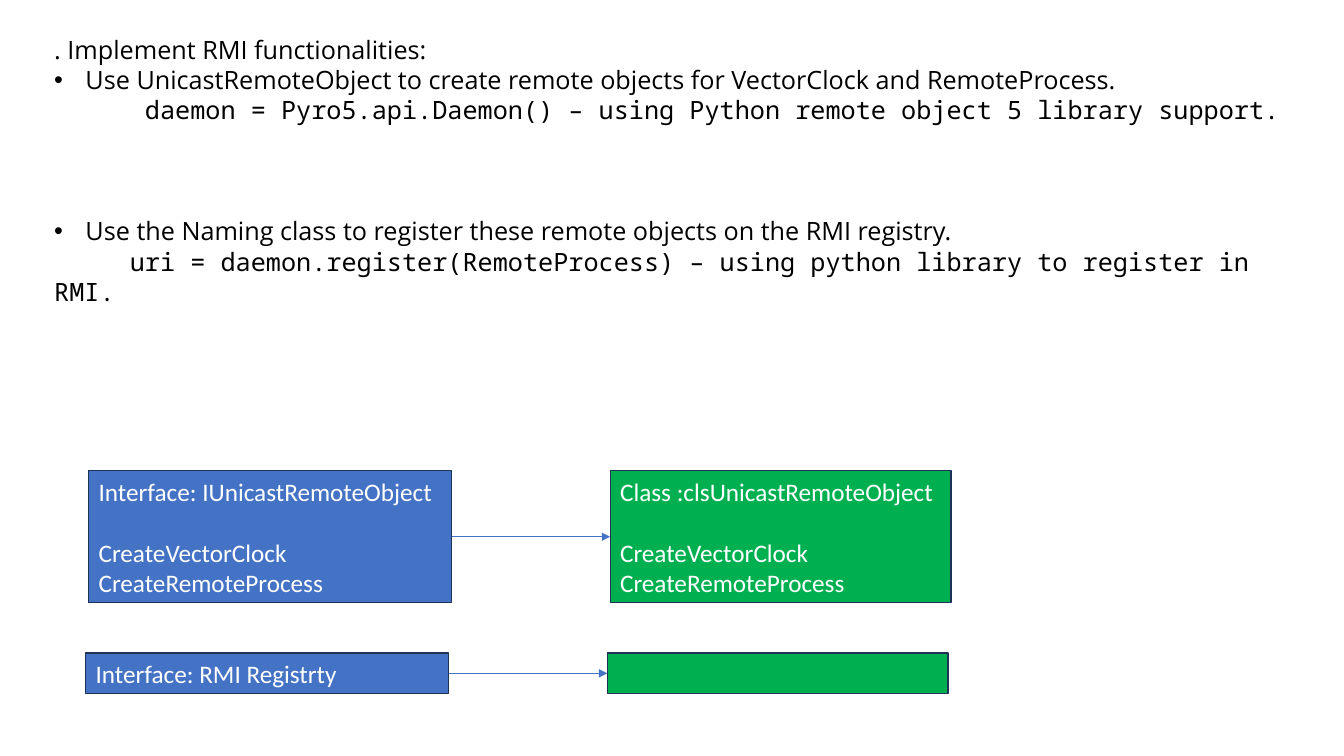
"""Build the slide on remote objects and the RMI registry."""
import pptx
import pptx.util
import pptx.dml.color
import pptx.enum.shapes
import pptx.enum.text
import pptx.oxml
import pptx.oxml.ns

HUES = {"ink": "000000", "paper": "FFFFFF", "blue": "4472C4", "green": "00B050", "edge": "1E3256"}
WIDE, HIGH = 13.33, 7.5
COL = pptx.util.Inches(WIDE / 100)
ROW = pptx.util.Inches(HIGH / 100)
LINE = 21.6


def hue(name):
    return pptx.dml.color.RGBColor.from_string(HUES[name])


def write(frame, text, font="Calibri", color="paper", first=False, gap=0, pitch=None, indent=0, bullet=False):
    para = frame.paragraphs[0] if first else frame.add_paragraph()
    para.alignment = pptx.enum.text.PP_ALIGN.LEFT
    para.space_before = pptx.util.Pt(gap)
    if pitch:
        para.line_spacing = pptx.util.Pt(pitch)
    run = para.add_run()
    run.text = text
    run.font.name = font
    run.font.size = pptx.util.Pt(18)
    run.font.color.rgb = hue(color)
    props = para._p.get_or_add_pPr()
    props.set("marL", str(pptx.util.Inches(0.31) if bullet else 0))
    props.set("indent", str(pptx.util.Inches(-0.31 if bullet else indent)))
    if bullet:
        face = pptx.oxml.ns.qn("a:buFont")
        props.append(props.makeelement(face, {"typeface": "Arial"}))
        props.append(props.makeelement(pptx.oxml.ns.qn("a:buChar"), {"char": "•"}))


deck = pptx.Presentation()
deck.slide_width = pptx.util.Inches(WIDE)
deck.slide_height = pptx.util.Inches(HIGH)
slide = deck.slides.add_slide(deck.slide_layouts[6])
shapes = slide.shapes

SANS, MONO = "Open Sans", "Noto Sans Mono"
steps = [
    (". Implement RMI functionalities:", SANS, {}),
    ("Use UnicastRemoteObject to create remote objects for VectorClock and RemoteProcess.", SANS, {"bullet": True}),
    ("daemon = Pyro5.api.Daemon() – using Python remote object 5 library support.", MONO, {"indent": 0.9}),
    ("Use the Naming class to register these remote objects on the RMI registry.", SANS,
     {"bullet": True, "gap": 3 * LINE}),
    ("uri = daemon.register(RemoteProcess) – using python library to register in RMI.", MONO, {"indent": 0.75}),
]
notes = shapes.add_textbox(int(3.3 * COL), int(3.87 * ROW), int(94.82 * COL), int(37.73 * ROW)).text_frame
notes.word_wrap = True
for spot, (text, font, form) in enumerate(steps):
    write(notes, text, font=font, color="ink", first=spot == 0, pitch=LINE, **form)

calls = ["CreateVectorClock", "CreateRemoteProcess"]
pairs = [
    (6.6, 62.27, 17.47, ["Interface: IUnicastRemoteObject"] + calls, ["Class :clsUnicastRemoteObject"] + calls),
    (6.38, 86.4, 5.33, ["Interface: RMI Registrty"], []),
]
SPAN, STEP = 27, 38.8
for left, top, tall, face, made in pairs:
    for start, width, fill, lines in [(left, SPAN, "blue", face), (left + STEP, 25.35, "green", made)]:
        box = shapes.add_shape(pptx.enum.shapes.MSO_SHAPE.RECTANGLE,
                               int(start * COL), int(top * ROW), int(width * COL), int(tall * ROW))
        box.shadow.inherit = False
        box.fill.solid()
        box.fill.fore_color.rgb = hue(fill)
        box.line.color.rgb = hue("edge")
        box.line.width = pptx.util.Pt(1)
        box.text_frame.word_wrap = True
        box.text_frame.vertical_anchor = pptx.enum.text.MSO_ANCHOR.MIDDLE
        for spot, text in enumerate(lines):
            write(box.text_frame, text, first=spot == 0, gap=22 if spot == 1 else 0)
    level = int((top + tall / 2) * ROW)
    arrow = shapes.add_connector(pptx.enum.shapes.MSO_CONNECTOR.STRAIGHT,
                                 int((left + SPAN) * COL), level, int((left + STEP) * COL), level)
    arrow.line.color.rgb = hue("blue")
    arrow.line.width = pptx.util.Pt(0.5)
    stroke = arrow.line._get_or_add_ln()
    stroke.append(stroke.makeelement(pptx.oxml.ns.qn("a:tailEnd"), {"type": "triangle"}))
    props = arrow._element.spPr
    props.append(props.makeelement(pptx.oxml.ns.qn("a:effectLst"), {}))

deck.save("out.pptx")
